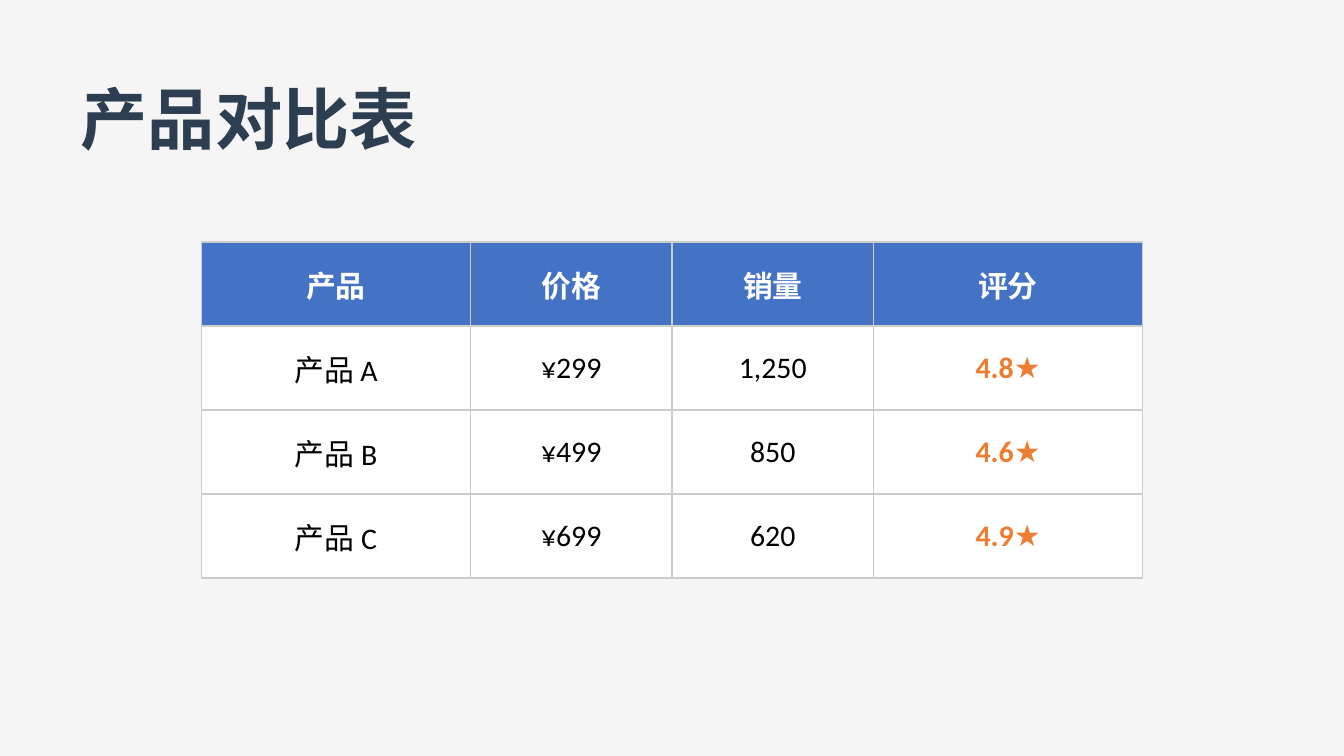
from lxml import etree
from pptx import Presentation
from pptx import util as u
from pptx.dml.color import RGBColor
from pptx.enum import text
from pptx.oxml.ns import qn

PX = 9525
FONT = "Calibri"
COLOURS = {
    "page": "F5F5F5",
    "title": "2C3E50",
    "header": "4472C4",
    "white": "FFFFFF",
    "black": "000000",
    "rating": "ED7D31",
    "border": "CCCCCC",
}
COLUMN_WIDTHS = [192, 144, 144, 192]
ROW_HEIGHT = 60
PRODUCTS = [
    ["产品", "价格", "销量", "评分"],
    ["产品 A", "¥299", "1,250", "4.8★"],
    ["产品 B", "¥499", "850", "4.6★"],
    ["产品 C", "¥699", "620", "4.9★"],
]


def px(length):
    return u.Emu(length * PX)


def colour(name):
    return RGBColor.from_string(COLOURS[name])


def set_text(frame, words, size, ink, bold, align):
    frame.text = words
    para = frame.paragraphs[0]
    para.alignment = align
    font = para.runs[0].font
    font.name = FONT
    font.size = u.Pt(size)
    font.bold = bold
    font.color.rgb = colour(ink)


def add_title(page, words):
    box = page.shapes.title
    box.left, box.top, box.width, box.height = map(px, (48, 48, 864, 72))
    frame = box.text_frame
    frame.word_wrap = True
    frame.auto_size = text.MSO_AUTO_SIZE.NONE
    frame.vertical_anchor = text.MSO_ANCHOR.MIDDLE
    set_text(frame, words, 36, "title", True, text.PP_ALIGN.LEFT)


def set_borders(cell):
    properties = cell._tc.get_or_add_tcPr()
    for side in ("lnL", "lnR", "lnT", "lnB"):
        line = etree.SubElement(properties, qn(f"a:{side}"), w=str(u.Pt(1)))
        fill = etree.SubElement(line, qn("a:solidFill"))
        etree.SubElement(fill, qn("a:srgbClr"), val=COLOURS["border"])


def set_cell(cell, words, fill, ink, bold):
    set_borders(cell)
    cell.fill.solid()
    cell.fill.fore_color.rgb = colour(fill)
    cell.vertical_anchor = text.MSO_ANCHOR.MIDDLE
    set_text(cell.text_frame, words, 16, ink, bold, text.PP_ALIGN.CENTER)


def add_product_table(page, left, top):
    width = sum(COLUMN_WIDTHS)
    height = ROW_HEIGHT * len(PRODUCTS)
    table = page.shapes.add_table(
        len(PRODUCTS), len(COLUMN_WIDTHS), px(left), px(top), px(width), px(height)
    ).table
    for column, column_width in zip(table.columns, COLUMN_WIDTHS):
        column.width = px(column_width)
    for row_index, product in enumerate(PRODUCTS):
        table.rows[row_index].height = px(ROW_HEIGHT)
        for column_index, words in enumerate(product):
            if row_index == 0:
                style = ("header", "white", True)
            elif column_index == len(product) - 1:
                style = ("white", "rating", True)
            else:
                style = ("white", "black", False)
            set_cell(table.cell(row_index, column_index), words, *style)


def main():
    deck = Presentation()
    deck.slide_width, deck.slide_height = px(960), px(540)
    page = deck.slides.add_slide(deck.slide_layouts[5])
    page.background.fill.solid()
    page.background.fill.fore_color.rgb = colour("page")
    add_title(page, "产品对比表")
    add_product_table(page, 144, 173)
    deck.save("out.pptx")


if __name__ == "__main__":
    main()
